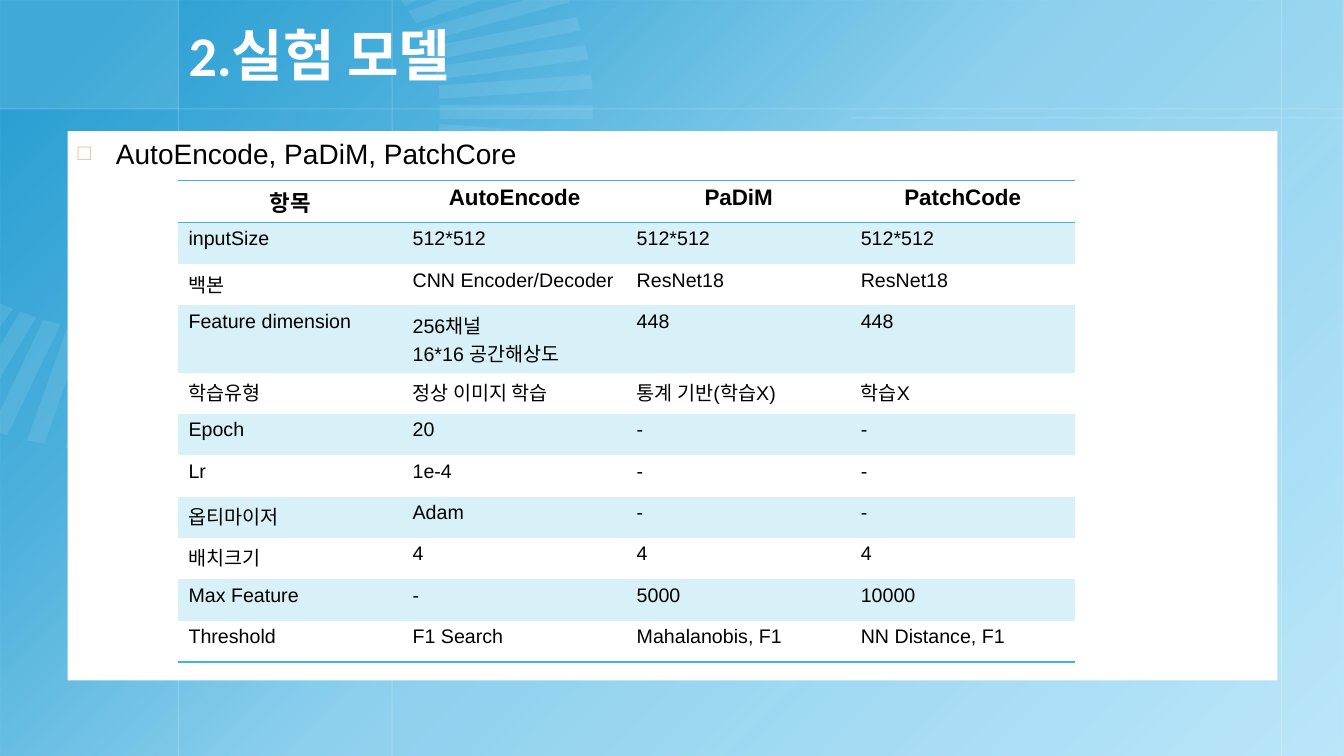
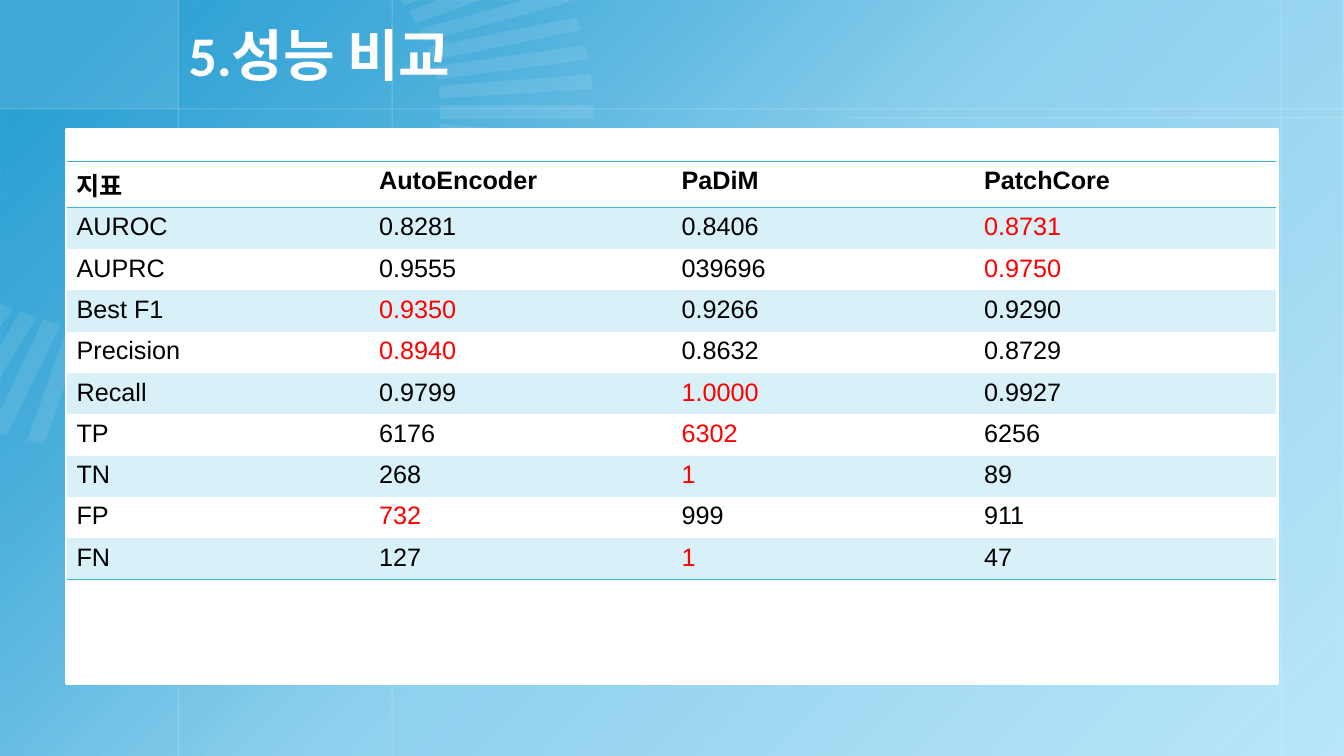
from lxml.etree import SubElement
from pptx import Presentation
from pptx.dml.color import RGBColor
from pptx.enum.shapes import MSO_CONNECTOR, MSO_SHAPE
from pptx.enum.text import MSO_ANCHOR, MSO_AUTO_SIZE, PP_ALIGN
from pptx.oxml import parse_xml
from pptx.oxml.ns import nsdecls, qn
from pptx.util import Inches, Pt

W, H = 13.33, 7.5
BAND_H = 1.08
LEFT_RULE = 1.77
NO_STYLE = "{2D5ABB26-0587-4C30-8999-92F81FD0307C}"
COLORS = {
    "sky": "BCE7FA", "blue": "0F92CC", "ray": "F2FAFE", "white": "FFFFFF",
    "black": "000000", "red": "FF0000", "border": "3DB5DB",
    "stripe": "D8F0F8", "bullet": "ECC37F",
}
GRADIENT = [(6, 83), (26, 63), (50, 27), (100, 0)]
RULES = [
    (LEFT_RULE, 0, LEFT_RULE, H), (12.71, 0, 12.71, H), (3.89, 0, 3.89, H),
    (0, BAND_H, W, BAND_H), (8.44, 1.17, W, 1.17),
]
FANS = [
    [
        [(3.97, 0), (4.14, 0), (4.02, 0.06)],
        [(4.35, 0), (4.77, 0), (4.13, 0.23), (4.05, 0.11)],
        [(5.59, -0.11), (5.65, 0.02), (4.22, 0.41), (4.16, 0.29)],
        [(5.72, 0.17), (5.76, 0.3), (4.29, 0.6), (4.24, 0.47)],
        [(5.8, 0.45), (5.84, 0.59), (4.34, 0.79), (4.3, 0.66)],
        [(5.86, 0.74), (5.88, 0.88), (4.36, 0.98), (4.35, 0.85)],
        [(4.36, 1.04), (5.88, 1.04), (5.88, 1.18), (4.36, 1.18)],
        [(4.36, 1.23), (5.88, 1.34), (5.87, 1.47), (4.35, 1.37)],
    ],
    [
        [(0.91, 3.28), (1.08, 3.31), (0.82, 4.46), (0.65, 4.44)],
        [(0.67, 3.24), (0.84, 3.27), (0.44, 4.4), (0.27, 4.37)],
        [(0.43, 3.17), (0.6, 3.22), (0.07, 4.32), (-0.09, 4.27)],
        [(0.2, 3.09), (0.36, 3.15), (0, 3.75), (0, 3.43)],
        [(0, 3.01), (0.13, 3.07), (0, 3.24)],
    ],
]

MODEL_TITLE = "2.실험 모델"
MODEL_POINT = "AutoEncode, PaDiM, PatchCore"
MODEL_ROWS = [
    ("항목", "AutoEncode", "PaDiM", "PatchCode"),
    ("inputSize", "512*512", "512*512", "512*512"),
    ("백본", "CNN Encoder/Decoder", "ResNet18", "ResNet18"),
    ("Feature dimension", "256채널\n16*16 공간해상도", "448", "448"),
    ("학습유형", "정상 이미지 학습", "통계 기반(학습X)", "학습X"),
    ("Epoch", "20", "-", "-"),
    ("Lr", "1e-4", "-", "-"),
    ("옵티마이저", "Adam", "-", "-"),
    ("배치크기", "4", "4", "4"),
    ("Max Feature", "-", "5000", "10000"),
    ("Threshold", "F1 Search", "Mahalanobis, F1", "NN Distance, F1"),
]
SCORE_TITLE = "5.성능 비교"
SCORE_ROWS = [
    ("지표", "AutoEncoder", "PaDiM", "PatchCore"),
    ("AUROC", "0.8281", "0.8406", "0.8731"),
    ("AUPRC", "0.9555", "039696", "0.9750"),
    ("Best F1", "0.9350", "0.9266", "0.9290"),
    ("Precision", "0.8940", "0.8632", "0.8729"),
    ("Recall", "0.9799", "1.0000", "0.9927"),
    ("TP", "6176", "6302", "6256"),
    ("TN", "268", "1", "89"),
    ("FP", "732", "999", "911"),
    ("FN", "127", "1", "47"),
]
MARKED = {"AUROC": 3, "AUPRC": 3, "Best F1": 1, "Precision": 1, "Recall": 2,
          "TP": 2, "TN": 2, "FP": 1, "FN": 2}


def rgb(name):
    return RGBColor.from_string(COLORS[name])


def box(x, y, w, h):
    return Inches(x), Inches(y), Inches(w), Inches(h)


def place(sp, x, y, w, h):
    sp.left, sp.top, sp.width, sp.height = box(x, y, w, h)


def set_alpha(parent, percent):
    clr = next(parent.iter(qn("a:srgbClr")))
    SubElement(clr, qn("a:alpha")).set("val", str(percent * 1000))


def paint(sp, color, alpha=None):
    sp.shadow.inherit = False
    sp.line.fill.background()
    sp.fill.solid()
    sp.fill.fore_color.rgb = rgb(color)
    if alpha is not None:
        set_alpha(sp.element.spPr, alpha)


def add_run(p, text, size, color="black", bold=False, font="Arial"):
    r = p.add_run()
    r.text = text
    r.font.name = font
    r.font.size = Pt(size)
    r.font.bold = bold
    r.font.color.rgb = rgb(color)


def add_rect(s, at, color, alpha=None):
    sp = s.shapes.add_shape(MSO_SHAPE.RECTANGLE, *box(*at))
    paint(sp, color, alpha)
    return sp


def add_gradient(s):
    sp = add_rect(s, (0, 0, W, H), "blue")
    stops = "".join(
        f'<a:gs pos="{pos * 1000}"><a:srgbClr val="{COLORS["blue"]}">'
        f'<a:alpha val="{alpha * 1000}"/></a:srgbClr></a:gs>'
        for pos, alpha in GRADIENT)
    grad = parse_xml(
        f'<a:gradFill {nsdecls("a")} rotWithShape="1"><a:gsLst>{stops}</a:gsLst>'
        '<a:lin ang="2700000" scaled="0"/></a:gradFill>')
    spPr = sp.element.spPr
    spPr.replace(spPr.find(qn("a:solidFill")), grad)


def add_rule(s, x1, y1, x2, y2):
    c = s.shapes.add_connector(
        MSO_CONNECTOR.STRAIGHT, Inches(x1), Inches(y1), Inches(x2), Inches(y2))
    c.line.width = Pt(0.75)
    c.line.color.rgb = rgb("white")
    set_alpha(c.element.spPr, 20)
    SubElement(c.element.spPr, qn("a:effectLst"))


def add_fan(s, rays):
    fan = s.shapes.add_group_shape()
    for ray in rays:
        pts = [(Inches(x), Inches(y)) for x, y in ray]
        builder = fan.shapes.build_freeform(*pts[0])
        builder.add_line_segments(pts[1:], close=True)
        paint(builder.convert_to_shape(), "ray", 10)


def build_master(master, s):
    fill = master.background.fill
    fill.solid()
    fill.fore_color.rgb = rgb("sky")
    title = next(sp for sp in master.placeholders if "Title" in sp.name)
    place(title, LEFT_RULE, 0, 10.89, BAND_H)

    add_gradient(s)
    add_rect(s, (0, 0, LEFT_RULE, BAND_H), "white", 10)
    for rule in RULES:
        add_rule(s, *rule)
    for rays in FANS:
        add_fan(s, rays)
    new_id = 100
    for sp in [sp for sp in s.shapes if not sp.is_placeholder]:
        for prop in sp.element.iter(qn("p:cNvPr")):
            prop.set("id", str(new_id))
            new_id += 1
        master.shapes.element.append(sp.element)


def set_title(s, text):
    tf = s.shapes.title.text_frame
    tf.auto_size = MSO_AUTO_SIZE.NONE
    tf.vertical_anchor = MSO_ANCHOR.MIDDLE
    p = tf.paragraphs[0]
    p.alignment = PP_ALIGN.LEFT
    add_run(p, text, 40, "white", True, "Calibri")


def set_point(body, text):
    place(body, 0.67, 1.3, 12, 5.45)
    body.fill.solid()
    body.fill.fore_color.rgb = rgb("white")
    tf = body.text_frame
    tf.auto_size = MSO_AUTO_SIZE.NONE
    p = tf.paragraphs[0]
    add_run(p, text, 20)
    pPr = p._p.get_or_add_pPr()
    pPr.set("marL", str(Inches(0.38)))
    pPr.set("indent", str(-Inches(0.38)))
    for xml in (f'<a:buClr {nsdecls("a")}><a:srgbClr val="{COLORS["bullet"]}"/></a:buClr>',
                f'<a:buSzPct {nsdecls("a")} val="80000"/>',
                f'<a:buFont {nsdecls("a")} typeface="Arial"/>',
                f'<a:buChar {nsdecls("a")} char="□"/>'):
        pPr.append(parse_xml(xml))


def set_borders(cell, sides):
    tcPr = cell._tc.get_or_add_tcPr()
    for i, side in enumerate(sides):
        tcPr.insert(i, parse_xml(
            f'<a:ln{side} {nsdecls("a")} w="{Pt(1)}"><a:solidFill>'
            f'<a:srgbClr val="{COLORS["border"]}"/></a:solidFill></a:ln{side}>'))


def add_grid(s, rows, at, head_size, size, head_align=PP_ALIGN.LEFT, marked={}):
    x, y, w, row_h = at
    frame = s.shapes.add_table(
        len(rows), len(rows[0]), *box(x, y, w, row_h * len(rows)))
    next(frame.element.iter(qn("a:tableStyleId"))).text = NO_STYLE
    table = frame.table
    table.first_row = table.horz_banding = False
    for i, row in enumerate(rows):
        table.rows[i].height = Inches(row_h)
        head = i == 0
        for j, text in enumerate(row):
            cell = table.cell(i, j)
            if i % 2:
                cell.fill.solid()
                cell.fill.fore_color.rgb = rgb("stripe")
            else:
                cell.fill.background()
            color = "red" if marked.get(row[0]) == j else "black"
            tf = cell.text_frame
            for n, line in enumerate(text.split("\n")):
                p = tf.add_paragraph() if n else tf.paragraphs[0]
                p.alignment = head_align if head else PP_ALIGN.LEFT
                add_run(p, line, head_size if head else size, color, head)
            if head:
                set_borders(cell, "TB")
            elif i == len(rows) - 1:
                set_borders(cell, "B")


def main():
    prs = Presentation()
    prs.slide_width, prs.slide_height = Inches(W), Inches(H)

    s = prs.slides.add_slide(prs.slide_layouts[1])
    build_master(prs.slide_master, s)
    set_title(s, MODEL_TITLE)
    set_point(s.placeholders[1], MODEL_POINT)
    add_grid(s, MODEL_ROWS, (LEFT_RULE, 1.79, 8.89, 0.41), 16, 14, PP_ALIGN.CENTER)

    s = prs.slides.add_slide(prs.slide_layouts[5])
    set_title(s, SCORE_TITLE)
    panel = add_rect(s, (0.66, 1.28, 12.01, 5.5), "white")
    panel.line.color.rgb = rgb("white")
    panel.line.width = Pt(2)
    add_grid(s, SCORE_ROWS, (0.66, 1.6, 12, 0.41), 18, 18, marked=MARKED)

    prs.save("out.pptx")


if __name__ == "__main__":
    main()
